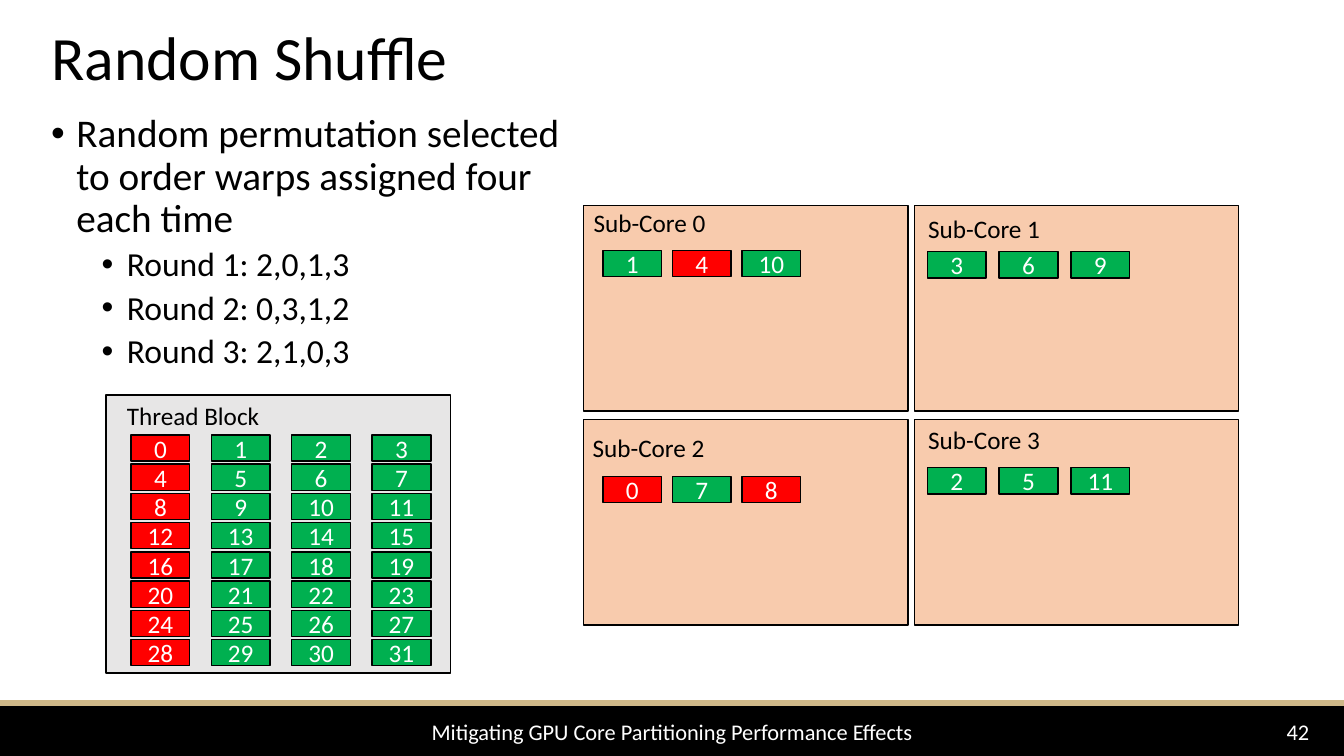
from lxml import etree
from pptx import Presentation
from pptx.dml.color import RGBColor
from pptx.enum import shapes, text
from pptx.oxml import ns
from pptx.util import Pt

COLORS = {
    "black": "000000", "white": "FFFFFF", "gold": "CEB888", "gray": "E7E6E6",
    "peach": "F8CBAD", "red": "FF0000", "green": "00B050",
}
FONT = "Calibri"
LEFT, CENTER = text.PP_ALIGN.LEFT, text.PP_ALIGN.CENTER
TOP, MIDDLE = text.MSO_ANCHOR.TOP, text.MSO_ANCHOR.MIDDLE
WARP_WIDTH, WARP_HEIGHT = 42, 18.7
CORE_WIDTH, CORE_HEIGHT = 231.8, 146.9


def color(name):
    """Return the named colour."""
    return RGBColor.from_string(COLORS[name])


def add_words(paragraph, words, size, ink="black", align=LEFT):
    """Write one formatted run into a paragraph."""
    paragraph.alignment = align
    run = paragraph.add_run()
    run.text = words
    run.font.name = FONT
    run.font.size = Pt(size)
    run.font.color.rgb = color(ink)


def add_box(slide, left, top, width, height, fill, line="black"):
    """Draw a flat rectangle with a thin outline."""
    box = slide.shapes.add_shape(
        shapes.MSO_SHAPE.RECTANGLE, Pt(left), Pt(top), Pt(width), Pt(height))
    box.shadow.inherit = False
    box.fill.solid()
    box.fill.fore_color.rgb = color(fill)
    box.line.color.rgb = color(line)
    box.line.width = Pt(1)
    return box


def add_frame(slide, left, top, width, height, anchor=TOP):
    """Add an empty wrapping text box and return its frame."""
    label = slide.shapes.add_textbox(Pt(left), Pt(top), Pt(width), Pt(height))
    frame = label.text_frame
    frame.word_wrap = True
    frame.vertical_anchor = anchor
    return frame


def add_bullet(paragraph, words, size, level, before):
    """Write a bulleted paragraph with a hanging indent."""
    paragraph.level = level
    properties = paragraph._p.get_or_add_pPr()
    properties.set("marL", str(Pt(18 + 36 * level)))
    properties.set("indent", str(Pt(-18)))
    etree.SubElement(properties, ns.qn("a:buFont"), typeface="Arial")
    etree.SubElement(properties, ns.qn("a:buChar"), char="•")
    paragraph.line_spacing = 0.9
    paragraph.space_before = Pt(before)
    add_words(paragraph, words, size)


def add_warp(slide, left, top, number):
    """Draw a numbered warp, red for every fourth one."""
    fill = "green" if number % 4 else "red"
    warp = add_box(slide, left, top, WARP_WIDTH, WARP_HEIGHT, fill)
    warp.text_frame.vertical_anchor = MIDDLE
    add_words(warp.text_frame.paragraphs[0], str(number), 18, "white", CENTER)


def add_thread_block(slide):
    """Draw the thread block with its grid of 32 warps."""
    add_box(slide, 75.6, 282.2, 246.2, 198.7, "gray")
    heading = add_frame(slide, 59.8, 282.2, 156.2, 28.8)
    add_words(heading.paragraphs[0], "Thread Block", 18, align=CENTER)
    for number in range(32):
        row, column = divmod(number, 4)
        add_warp(slide, 93.6 + 57.4 * column, 310.7 + 20.88 * row, number)


def add_sub_core(slide, index, label_at, warps_at, step, warps):
    """Draw one sub-core with its label and assigned warps."""
    row, column = divmod(index, 2)
    add_box(slide, 416.9 + 236.2 * column, 146.6 + 153 * row,
            CORE_WIDTH, CORE_HEIGHT, "peach")
    heading = add_frame(slide, *label_at, 113, 28.8)
    add_words(heading.paragraphs[0], f"Sub-Core {index}", 18)
    left, top = warps_at
    for place, number in enumerate(warps):
        add_warp(slide, left + step * place, top, number)


def add_footer(slide):
    """Draw the footer band with the talk name and page number."""
    add_box(slide, 0, 500.4, 960, 39.6, "black")
    add_box(slide, 0, 500.4, 960, 3.6, "gold", "gold")
    talk = add_frame(slide, 66.2, 504.7, 828, 35.3, MIDDLE)
    add_words(talk.paragraphs[0],
              "Mitigating GPU Core Partitioning Performance Effects",
              16, "white", CENTER)
    page = add_frame(slide, 894.2, 504.7, 65.8, 35.3, MIDDLE)
    add_words(page.paragraphs[0], "42", 16, "white", CENTER)


def add_explanation(slide):
    """Write the title and the list of shuffle rounds."""
    title = add_frame(slide, 29.5, 7.2, 828, 72, MIDDLE).paragraphs[0]
    title.line_spacing = 0.9
    add_words(title, "Random Shuffle", 44)
    body = add_frame(slide, 29.5, 77.8, 382.3, 408.2)
    add_bullet(body.paragraphs[0],
               "Random permutation selected to order warps assigned four each time",
               28, 0, 0)
    for number, order in enumerate(("2,0,1,3", "0,3,1,2", "2,1,0,3"), 1):
        add_bullet(body.add_paragraph(), f"Round {number}: {order}", 24, 1, 5)


def main():
    """Build the slide and save it."""
    deck = Presentation()
    deck.slide_width, deck.slide_height = Pt(960), Pt(540)
    slide = deck.slides.add_slide(deck.slide_layouts[6])
    add_footer(slide)
    add_explanation(slide)
    add_thread_block(slide)
    sub_cores = (
        ((416.9, 144.7), (430.6, 179), 49.7, (1, 4, 10)),
        ((655.9, 149), (662.4, 179.8), 51.3, (3, 6, 9)),
        ((416.2, 305.3), (430.6, 340.4), 49.7, (0, 7, 8)),
        ((655.9, 299.5), (662.4, 334.1), 51.3, (2, 5, 11)),
    )
    for index, details in enumerate(sub_cores):
        add_sub_core(slide, index, *details)
    deck.save("out.pptx")


if __name__ == "__main__":
    main()
